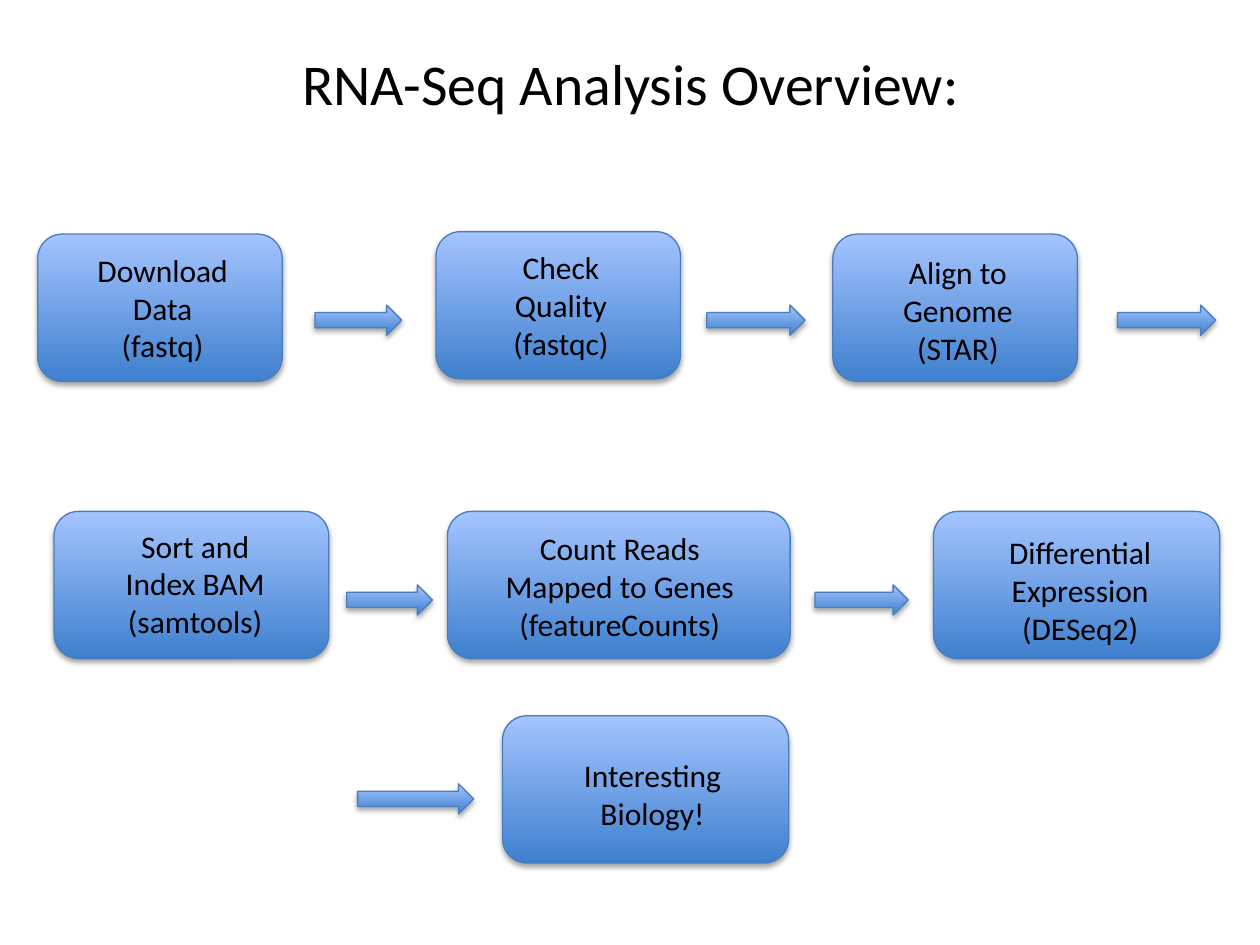
from lxml import etree
from pptx import Presentation
from pptx import util as u
from pptx.dml.color import RGBColor
from pptx.enum import shapes, text
from pptx.oxml.ns import qn

COLORS = {"low": "3F80CE", "high": "A4C4FF", "line": "4B7EBC", "text": "000000"}
FONT = "Calibri"
TITLE = ("RNA-Seq Analysis Overview:", (0.46, 0.38, 24.51, 2.11))
BOX_H, ARROW_H = 2.97, 0.61

# (box left, top, width), (label left, top, width, height), paragraphs
STEPS = [
    ((0.76, 4.72, 4.93), (1.5, 4.93, 3.56, 2.57), ["Download Data", "(fastq)"]),
    ((8.79, 4.67, 4.93), (9.53, 4.88, 3.56, 2.57), ["Check Quality (fastqc)"]),
    ((16.79, 4.72, 4.93), (17.53, 4.98, 3.56, 2.57), ["Align to Genome (STAR)"]),
    ((1.09, 10.31, 5.54), (1.93, 10.49, 4.01, 3.33), ["Sort and Index BAM (samtools)"]),
    ((9.02, 10.31, 6.91), (9.55, 10.54, 5.89, 2.57),
     ["Count Reads Mapped to Genes (featureCounts)"]),
    ((18.82, 10.31, 5.77), (19.69, 10.62, 4.17, 4.11),
     ["Differential Expression (DESeq2)"]),
    ((10.13, 14.43, 5.77), (11.07, 15.11, 4.17, 1.8), ["Interesting Biology!"]),
]
ARROWS = [
    (6.35, 6.15, 1.75), (14.25, 6.15, 1.98), (22.53, 6.15, 1.98),
    (6.99, 11.79, 1.73), (16.43, 11.79, 1.88), (7.21, 15.8, 2.34),
]


def rgb(name):
    return RGBColor.from_string(COLORS[name])


def add_glossy(parent, kind, *place):
    sp = parent.add_shape(kind, *map(u.Cm, place))
    sp.fill.gradient()
    sp.fill.gradient_angle = 90
    for stop, name, pos in zip(sp.fill.gradient_stops, ("low", "high"), (0, 1)):
        stop.color.rgb = rgb(name)
        stop.position = pos
    sp.line.color.rgb = rgb("line")
    sp.line.width = u.Pt(0.75)
    sp.shadow.inherit = False
    effects = sp._element.spPr.find(qn("a:effectLst"))
    shadow = etree.SubElement(effects, qn("a:outerShdw"), blurRad=str(u.Pt(3.1)),
                              dist=str(u.Pt(1.8)), dir="5400000", rotWithShape="0")
    color = etree.SubElement(shadow, qn("a:srgbClr"), val="000000")
    etree.SubElement(color, qn("a:alpha"), val="35000")


def add_text(parent, place, lines, size, anchor=text.MSO_ANCHOR.TOP):
    tf = parent.add_textbox(*map(u.Cm, place)).text_frame
    tf.word_wrap = True
    tf.vertical_anchor = anchor
    tf.text = "\n".join(lines)
    for p in tf.paragraphs:
        p.alignment = text.PP_ALIGN.CENTER
        for r in p.runs:
            r.font.name, r.font.size = FONT, u.Pt(size)
            r.font.color.rgb = rgb("text")


def main():
    prs = Presentation()
    prs.slide_width, prs.slide_height = u.Cm(25.4), u.Cm(19.05)
    s = prs.slides.add_slide(prs.slide_layouts[6])
    title, place = TITLE
    add_text(s.shapes, place, [title], 33, text.MSO_ANCHOR.BOTTOM)
    for box, label, lines in STEPS:
        group = s.shapes.add_group_shape().shapes
        add_glossy(group, shapes.MSO_SHAPE.ROUNDED_RECTANGLE, *box, BOX_H)
        add_text(group, label, lines, 18)
    for arrow in ARROWS:
        add_glossy(s.shapes, shapes.MSO_SHAPE.RIGHT_ARROW, *arrow, ARROW_H)
    prs.save("out.pptx")


if __name__ == "__main__":
    main()
